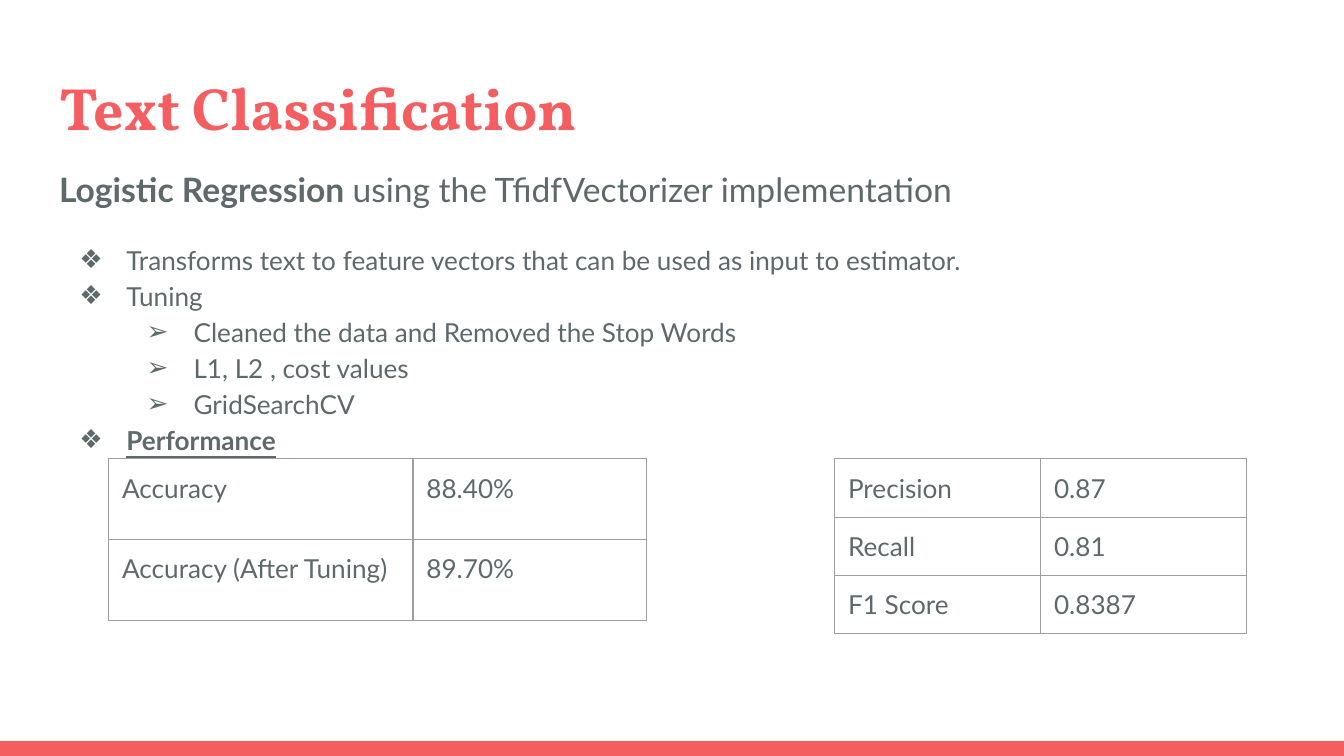
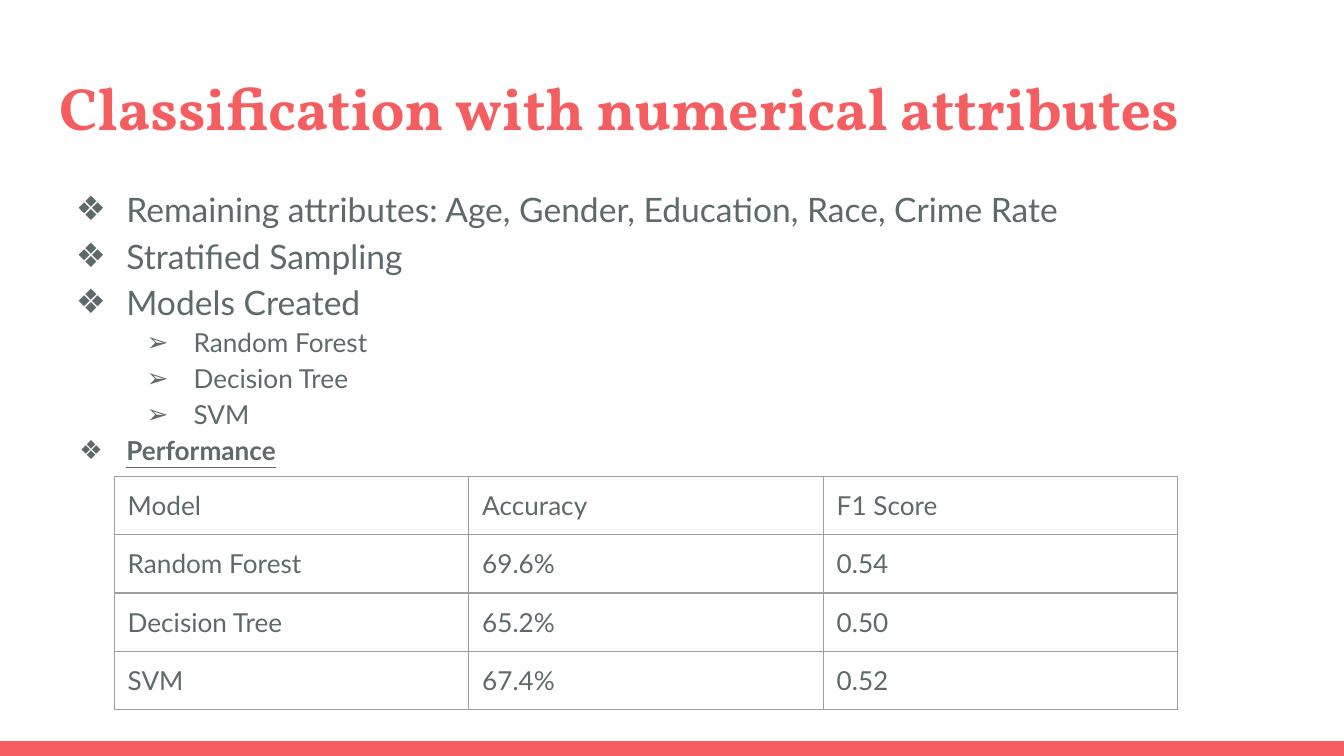
from lxml import etree
from pptx import Presentation
from pptx import util as u
from pptx.dml.color import RGBColor
from pptx.enum import shapes, text
from pptx.oxml.ns import qn

WIDE, HIGH = 100, 56.25  # grid columns and rows
UNIT = u.Inches(0.1)
HUES = {"coral": "F55E61", "slate": "5E696C", "rule": "9E9E9E"}
HEAD = {"name": "Vollkorn", "size": u.Pt(32), "bold": True}
BASE = {"name": "Lato", "size": u.Pt(14), "bold": False}
BIG = {"size": u.Pt(18)}
STRONG = {"bold": True}
MARK = {"bold": True, "underline": True}
NONE, GAP = u.Pt(0), u.Pt(16)
SIGNS = "❖➢"
INSET = dict.fromkeys(("margin_left", "margin_top", "margin_right", "margin_bottom"), UNIT)


def grid(*vals):
    return [round(v * UNIT) for v in vals]


def apply(obj, form):
    for key, val in form.items():
        setattr(obj, key, val)


def node(parent, tag, **attrs):
    return etree.SubElement(parent, qn(tag), attrs)


class Deck:
    def __init__(self):
        self.prs = Presentation()
        self.prs.slide_width, self.prs.slide_height = grid(WIDE, HIGH)
        self.base = self.prs.slide_layouts[1]
        self.slide = None

    def page(self, title):
        first = self.slide is None
        self.slide = self.prs.slides.add_slide(self.base)
        if first:
            self.band()
        frame = self.place(self.slide.shapes.title, 4.3, 6.8)
        para = frame.paragraphs[0]
        para.alignment = text.PP_ALIGN.LEFT
        self.run(para, title, HEAD, "coral")

    def band(self):
        """Draw the bottom band and move it to the layout, behind all else."""
        deep = 1.1
        box = grid(0, HIGH - deep, WIDE, deep)
        bar = self.slide.shapes.add_shape(shapes.MSO_SHAPE.RECTANGLE, *box)
        bar.shadow.inherit = False
        bar.fill.solid()
        bar.fill.fore_color.rgb = RGBColor.from_string(HUES["coral"])
        bar.line.fill.background()
        self.base.shapes._spTree.insert(2, bar._element)

    def place(self, holder, top, high):
        """Move a placeholder onto the shared side margins; return its frame."""
        side = 3.4
        spots = grid(side, top, WIDE - 2 * side, high)
        apply(holder, dict(zip(("left", "top", "width", "height"), spots)))
        frame = holder.text_frame
        apply(frame, INSET | {"word_wrap": True, "auto_size": text.MSO_AUTO_SIZE.NONE,
                              "vertical_anchor": text.MSO_ANCHOR.TOP})
        return frame

    def run(self, para, words, form, hue="slate"):
        run = para.add_run()
        run.text = words
        apply(run.font, BASE | form)
        run.font.color.rgb = RGBColor.from_string(HUES[hue])

    def body(self, top, high, items):
        """Items are (level, runs, space after); level None has no bullet."""
        frame = self.place(self.slide.placeholders[1], top, high)
        for num, (level, runs, after) in enumerate(items):
            para = frame.add_paragraph() if num else frame.paragraphs[0]
            apply(para, {"level": level or 0, "line_spacing": 1.15,
                         "space_before": NONE, "space_after": after})
            for words, form in runs:
                self.run(para, words, form)
            self.bullet(para, level, runs[0][1] is BIG)

    def bullet(self, para, level, big):
        props = para._p.get_or_add_pPr()
        left = hang = 0
        if level is None:
            node(props, "a:buNone")
        else:
            left, hang = grid(5 * (level + 1), 3.75 if big else 3.5)
            node(node(props, "a:buClr"), "a:srgbClr", val=HUES["slate"])
            node(props, "a:buChar", char=SIGNS[level])
        props.set("marL", str(left))
        props.set("indent", str(-hang))

    def table(self, left, top, cols, high, rows, after=NONE):
        box = grid(left, top, sum(cols), high * len(rows))
        table = self.slide.shapes.add_table(len(rows), len(cols), *box).table
        apply(table, {"first_row": False, "horz_banding": False})
        for col, wide in zip(table.columns, grid(*cols)):
            col.width = wide
        for line, words in zip(table.rows, rows):
            line.height = grid(high)[0]
            for cell, word in zip(line.cells, words):
                self.cell(cell, word, after)

    def cell(self, cell, word, after):
        apply(cell, INSET)
        props = cell._tc.get_or_add_tcPr()
        for side in "LRTB":
            edge = node(props, f"a:ln{side}", w=str(u.Pt(0.75)))
            node(node(edge, "a:solidFill"), "a:srgbClr", val=HUES["rule"])
        cell.fill.background()
        para = cell.text_frame.paragraphs[0]
        para.space_after = after
        self.run(para, word, {})


def points(level, *lines, form={}):
    return [(level, [(line, form)], NONE) for line in lines]


def main():
    deck = Deck()
    close = [(0, [("Performance", MARK)], GAP)]

    deck.page("Text Classification")
    intro = [("Logistic Regression ", BIG | STRONG),
             ("using the TfidfVectorizer implementation", BIG)]
    deck.body(11.13, 43.6, [
        (None, intro, GAP),
        *points(0, "Transforms text to feature vectors that can be used as input to estimator.",
                "Tuning"),
        *points(1, "Cleaned the data and Removed the Stop Words",
                "L1, L2 , cost values", "GridSearchCV"),
        *close])
    deck.table(8.08, 34.14, (22.65, 17.4), 6,
               [("Accuracy", "88.40%"), ("Accuracy (After Tuning)", "89.70%")], GAP)
    deck.table(62.1, 34.14, (15.33, 15.33), 4,
               [("Precision", "0.87"), ("Recall", "0.81"), ("F1 Score", "0.8387")])

    deck.page("Classification with numerical attributes")
    deck.body(12.62, 41.2, [
        *points(0, "Remaining attributes: Age, Gender, Education, Race, Crime Rate",
                "Stratified Sampling", "Models Created", form=BIG),
        *points(1, "Random Forest", "Decision Tree", "SVM"),
        *close])
    deck.table(8.5, 35.44, (26.38,) * 3, 4.2, [
        ("Model", "Accuracy", "F1 Score"),
        ("Random Forest", "69.6%", "0.54"),
        ("Decision Tree", "65.2%", "0.50"),
        ("SVM", "67.4%", "0.52")])

    deck.prs.save("out.pptx")


if __name__ == "__main__":
    main()
